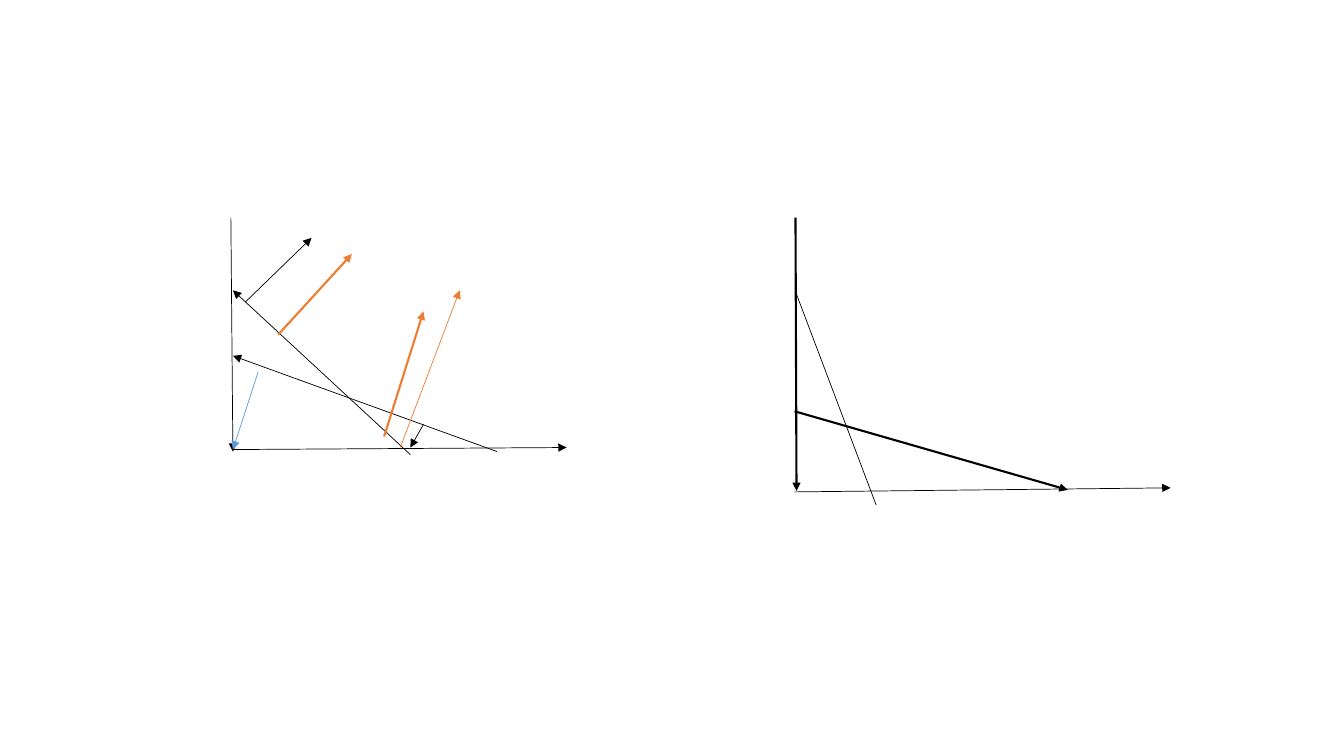
from dataclasses import dataclass

from pptx import Presentation
from pptx.dml.color import RGBColor
from pptx.enum import shapes
from pptx.oxml.ns import qn
from pptx.util import Inches, Pt
from lxml import etree


@dataclass(frozen=True)
class Theme:
    black: str = "000000"
    blue: str = "5B9BD5"
    orange: str = "ED7D31"
    thin: float = 0.5
    thick: float = 1.5


THEME = Theme()


@dataclass(frozen=True)
class Line:
    start: tuple[float, float]
    end: tuple[float, float]
    color: str = THEME.black
    width: float = THEME.thin
    arrow: bool = True


# Left diagram: axes, two crossing constraints, then their directions
LEFT_DIAGRAM = [
    Line((2.29, 2.16), (2.31, 4.48)),
    Line((2.31, 4.46), (5.62, 4.44)),
    Line((4.93, 4.48), (2.31, 3.53)),
    Line((4.07, 4.51), (2.31, 2.88)),
    Line((2.56, 3.69), (2.31, 4.46), THEME.blue),
    Line((4.2, 4.21), (4.07, 4.44)),
    Line((2.43, 3), (3.09, 2.36)),
    Line((3.81, 4.33), (4.2, 3.09), THEME.orange, THEME.thick),
    Line((2.76, 3.32), (3.49, 2.52), THEME.orange, THEME.thick),
    Line((3.97, 4.44), (4.56, 2.88), THEME.orange),
]

# Right diagram: axes and two crossing constraints
RIGHT_DIAGRAM = [
    Line((7.89, 2.16), (7.9, 4.87), width=THEME.thick),
    Line((7.88, 4.88), (11.61, 4.84)),
    Line((8.69, 5.01), (7.9, 2.92), arrow=False),
    Line((7.88, 4.08), (10.59, 4.86), width=THEME.thick),
]


def draw_line(slide, line: Line) -> None:
    ends = [Inches(v) for v in (*line.start, *line.end)]
    connector = slide.shapes.add_connector(shapes.MSO_CONNECTOR.STRAIGHT, *ends)
    connector.line.color.rgb = RGBColor.from_string(line.color)
    connector.line.width = Pt(line.width)
    sp_pr = connector._element.spPr
    if line.arrow:
        etree.SubElement(sp_pr.find(qn("a:ln")), qn("a:tailEnd"), type="triangle")
    # An empty effect list removes the shadow
    etree.SubElement(sp_pr, qn("a:effectLst"))


def main() -> None:
    prs = Presentation()
    prs.slide_width, prs.slide_height = Inches(13.33), Inches(7.5)
    slide = prs.slides.add_slide(prs.slide_layouts.get_by_name("Blank"))
    for line in LEFT_DIAGRAM + RIGHT_DIAGRAM:
        draw_line(slide, line)
    prs.save("out.pptx")


if __name__ == "__main__":
    main()
